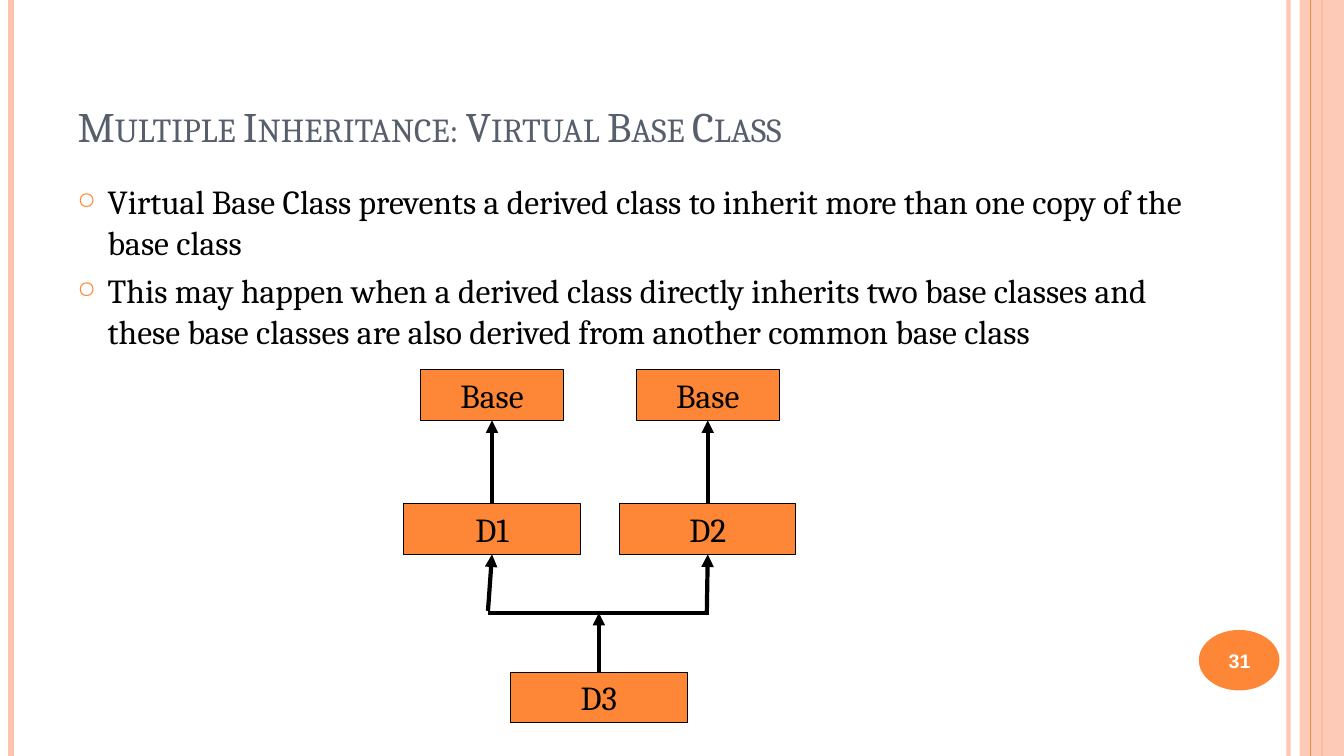
from lxml import etree
from pptx import Presentation
from pptx.dml.color import RGBColor
from pptx.enum.shapes import MSO_CONNECTOR, MSO_SHAPE
from pptx.enum.text import MSO_ANCHOR, MSO_AUTO_SIZE, PP_ALIGN
from pptx.oxml.ns import qn
from pptx.util import Inches, Pt

ORANGE = RGBColor(0xFE, 0x86, 0x37)
PEACH = RGBColor(0xFE, 0xC3, 0xAE)
SLATE = RGBColor(0x57, 0x5F, 0x6D)
BLACK = RGBColor(0, 0, 0)
WHITE = RGBColor(0xFF, 0xFF, 0xFF)

presentation = Presentation()
presentation.slide_width = Inches(13.33)
presentation.slide_height = Inches(7.5)
slide = presentation.slides.add_slide(presentation.slide_layouts[5])
shapes = slide.shapes


def add_line(start, end, color, width, arrow=False):
    line = shapes.add_connector(MSO_CONNECTOR.STRAIGHT, *map(Inches, start + end))
    line.line.color.rgb = color
    line.line.width = Pt(width)
    etree.SubElement(line._element.spPr, qn("a:effectLst"))
    if arrow:
        etree.SubElement(line.line._get_or_add_ln(), qn("a:tailEnd"), type="triangle")
    return line


def add_text(paragraph, text, size, color, font="Cambria"):
    run = paragraph.add_run()
    run.text = text
    run.font.name = font
    run.font.size = Pt(size)
    run.font.color.rgb = color
    return run


# Side stripes and band
stripes = {}
for x, color, width in [(12.78, PEACH, 3), (0.11, PEACH, 4.5), (13.11, ORANGE, 1.5)]:
    stripes[x] = add_line((x, 0), (x, 7.5), color, width)
band = shapes.add_shape(MSO_SHAPE.RECTANGLE, Inches(12.89), 0, Inches(0.44), Inches(7.5))
band.shadow.inherit = False
band.fill.solid()
band.fill.fore_color.rgb = PEACH
band.line.fill.background()
add_line((13, 0), (13, 7.5), ORANGE, 0.75)
for shape, alpha in [(stripes[12.78], "93000"), (band, "87000")]:
    color_element = next(shape._element.spPr.iter(qn("a:srgbClr")))
    etree.SubElement(color_element, qn("a:alpha"), val=alpha)

# Slide number
badge = shapes.add_shape(MSO_SHAPE.OVAL, Inches(11.89), Inches(6.25), Inches(0.8), Inches(0.6))
badge.shadow.inherit = False
badge.fill.solid()
badge.fill.fore_color.rgb = ORANGE
badge.line.fill.background()
number_box = shapes.add_textbox(Inches(11.85), Inches(6.27), Inches(0.89), Inches(0.57))
number_box.text_frame.word_wrap = True
number_box.text_frame.vertical_anchor = MSO_ANCHOR.MIDDLE
number = number_box.text_frame.paragraphs[0]
number.alignment = PP_ALIGN.CENTER
add_text(number, "31", 14, WHITE, "Arial").font.bold = True

# Title
title = shapes.title
title.left, title.top = Inches(0.67), Inches(0.3)
title.width, title.height = Inches(11.22), Inches(1.25)
title.text_frame.auto_size = MSO_AUTO_SIZE.NONE
title.text_frame.vertical_anchor = MSO_ANCHOR.BOTTOM
heading = title.text_frame.paragraphs[0]
heading.alignment = PP_ALIGN.LEFT
heading_run = add_text(heading, "Multiple Inheritance: Virtual Base Class", 30, SLATE)
heading_run.font._element.set("cap", "small")

# Bullets
points = [
    "Virtual Base Class prevents a derived class to inherit more than one copy of the base class",
    "This may happen when a derived class directly inherits two base classes and "
    "these base classes are also derived from another common base class",
]
body = shapes.add_textbox(Inches(0.67), Inches(1.75), Inches(11.22), Inches(5.33)).text_frame
body.word_wrap = True
for index, point in enumerate(points):
    paragraph = body.add_paragraph() if index else body.paragraphs[0]
    paragraph.space_before = Pt(6)
    properties = paragraph._p.get_or_add_pPr()
    properties.set("marL", str(Inches(0.3)))
    properties.set("indent", str(-Inches(0.3)))
    bullet_color = etree.SubElement(properties, qn("a:buClr"))
    etree.SubElement(bullet_color, qn("a:srgbClr"), val=str(ORANGE))
    etree.SubElement(properties, qn("a:buSzPct"), val="70000")
    etree.SubElement(properties, qn("a:buChar"), char="○")
    add_text(paragraph, point, 24, BLACK)

# Class boxes: label, centre, top, width
classes = [
    ("Base", 4.88, 3.67, 1.42),
    ("Base", 7.02, 3.67, 1.42),
    ("D1", 4.88, 5, 1.75),
    ("D2", 7.02, 5, 1.75),
    ("D3", 5.94, 6.67, 1.75),
]
boxes = []
for label, center, top, width in classes:
    box = shapes.add_shape(MSO_SHAPE.RECTANGLE, Inches(center - width / 2), Inches(top),
                           Inches(width), Inches(0.5))
    box.shadow.inherit = False
    box.fill.solid()
    box.fill.fore_color.rgb = ORANGE
    box.line.color.rgb = BLACK
    box.line.width = Pt(0.75)
    box.text_frame.word_wrap = False
    box.text_frame.vertical_anchor = MSO_ANCHOR.MIDDLE
    paragraph = box.text_frame.paragraphs[0]
    paragraph.alignment = PP_ALIGN.CENTER
    add_text(paragraph, label, 24, BLACK)
    boxes.append(box)
base_1, base_2, d1, d2, d3 = boxes

# Inheritance arrows
for derived, base, x in [(d1, base_1, 4.88), (d2, base_2, 7.02)]:
    arrow = add_line((x, 5), (x, 4.17), BLACK, 3, arrow=True)
    arrow.begin_connect(derived, 0)
    arrow.end_connect(base, 2)
add_line((4.84, 6.08), (7.01, 6.08), BLACK, 3)
for parent, start, x in [(d1, (4.84, 6.06), 4.88), (d2, (7.01, 6.1), 7.02)]:
    add_line(start, (x, 5.5), BLACK, 3, arrow=True).end_connect(parent, 2)
add_line((5.94, 6.67), (5.94, 6.08), BLACK, 3, arrow=True).begin_connect(d3, 0)

presentation.save("out.pptx")
